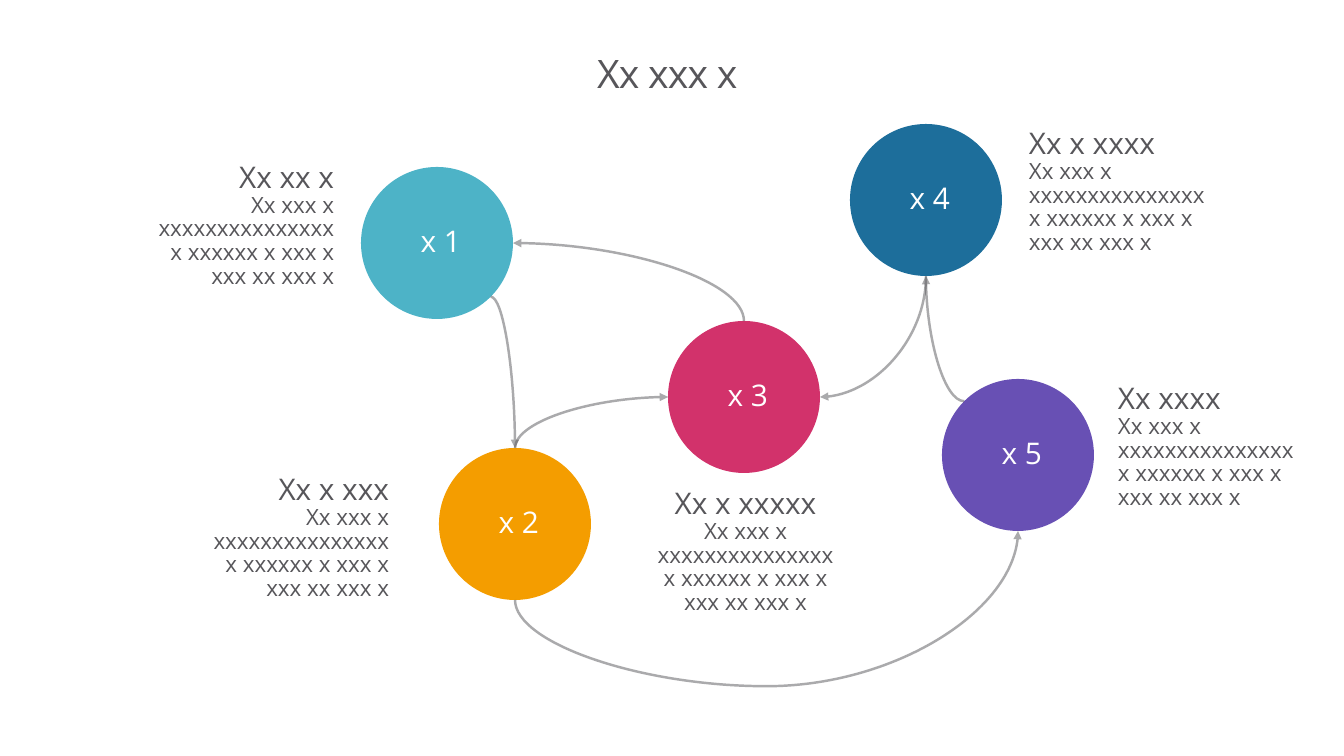
"""Build a slide of five linked circles with captions."""
from dataclasses import dataclass
from math import hypot

from lxml import etree
from pptx import Presentation
from pptx import util as u
from pptx.dml.color import RGBColor
from pptx.enum import shapes, text
from pptx.oxml.ns import qn

PX = 914400 / 100.8
LEFT, CENTER, RIGHT = text.PP_ALIGN.LEFT, text.PP_ALIGN.CENTER, text.PP_ALIGN.RIGHT
TOP, MIDDLE = text.MSO_ANCHOR.TOP, text.MSO_ANCHOR.MIDDLE
N, E, S, W, SE, NW = (0, -1), (1, 0), (0, 1), (-1, 0), (1, 1), (-1, -1)
BODY = "Xx xxx x xxxxxxxxxxxxxxx x xxxxxx x xxx x xxx xx xxx x"


@dataclass(frozen=True)
class Theme:
    font: str = "Open Sans"
    ink: str = "57565A"
    white: str = "FFFFFF"
    teal: str = "4DB3C7"
    orange: str = "F49D00"
    pink: str = "D2326B"
    blue: str = "1D6E9B"
    purple: str = "6850B4"
    title: float = 28
    heading: float = 21.3
    body: float = 16
    line: float = 1.75
    radius: int = 76


def px(n):
    return u.Emu(round(n * PX))


def assign(target, **values):
    for name, value in values.items():
        setattr(target, name, value)


class Deck:
    def __init__(self, theme):
        self.t = theme
        self.prs = Presentation()
        assign(self.prs, slide_width=px(1344), slide_height=px(756))
        self.s = self.prs.slides.add_slide(self.prs.slide_layouts[6])
        self.centers = {}

    def fill_text(self, sp, lines, color, align, anchor, spacing, wrap=True, pad=0):
        tf = sp.text_frame
        assign(tf, word_wrap=wrap, vertical_anchor=anchor, margin_left=0,
               margin_right=0, margin_top=px(pad), margin_bottom=px(pad))
        for i, (words, size) in enumerate(lines):
            p = tf.add_paragraph() if i else tf.paragraphs[0]
            assign(p, alignment=align, line_spacing=spacing)
            r = p.add_run()
            r.text = words
            assign(r.font, name=self.t.font, size=u.Pt(size))
            r.font.color.rgb = RGBColor.from_string(color)
        return tf

    def title(self, words):
        sp = self.s.shapes.add_textbox(px(101), px(31), px(1142), px(90))
        tf = self.fill_text(sp, [(words, self.t.title)], self.t.ink, CENTER, MIDDLE, 0.86)
        tf.paragraphs[0].runs[0].font._element.set("spc", "-50")

    def caption(self, x, y, heading, align):
        sp = self.s.shapes.add_textbox(px(x), px(y), px(179), px(155))
        lines = [(heading, self.t.heading), (BODY, self.t.body)]
        self.fill_text(sp, lines, self.t.ink, align, TOP, 0.88, pad=5)

    def circle(self, key, x, y, color):
        rad = self.t.radius
        sp = self.s.shapes.add_shape(shapes.MSO_SHAPE.OVAL, px(x - rad), px(y - rad),
                                     px(2 * rad), px(2 * rad))
        sp.shadow.inherit = False
        sp.fill.solid()
        sp.fill.fore_color.rgb = RGBColor.from_string(color)
        sp.line.fill.background()
        self.fill_text(sp, [(f" x {key}", self.t.heading)], self.t.white,
                       CENTER, MIDDLE, 0.9, wrap=False)
        self.centers[key] = x, y

    def rim(self, key, side):
        x, y = self.centers[key]
        k = self.t.radius / hypot(*side)
        return x + k * side[0], y + k * side[1]

    def link(self, start, leave, end, enter, bend=None):
        """Curve between two rims; one that leaves vertically is turned by 90 degrees."""
        (x1, y1), (x2, y2) = self.rim(start, leave), self.rim(end, enter)
        turned = leave in (N, S)
        if turned:
            cx, cy, dx, dy = (x1 + x2) / 2, (y1 + y2) / 2, x2 - x1, y2 - y1
            x1, y1, x2, y2 = cx - dy / 2, cy + dx / 2, cx + dy / 2, cy - dx / 2
        c = self.s.shapes.add_connector(shapes.MSO_CONNECTOR.CURVE,
                                        px(x1), px(y1), px(x2), px(y2))
        pr = c._element.spPr
        if turned:
            pr.find(qn("a:xfrm")).set("rot", "5400000")
        geom = pr.find(qn("a:prstGeom"))
        if bend is None:
            geom.set("prst", "curvedConnector2")
        else:
            guides = geom.find(qn("a:avLst"))
            etree.SubElement(guides, qn("a:gd"), name="adj1",
                             fmla=f"val {round(bend * 100000)}")
        c.line.width = u.Pt(self.t.line)
        c.line.color.rgb = RGBColor.from_string(self.t.ink)
        ln = pr.find(qn("a:ln"))
        etree.SubElement(ln.find(".//" + qn("a:srgbClr")), qn("a:alpha"), val="50000")
        etree.SubElement(ln, qn("a:tailEnd"), type="triangle")
        etree.SubElement(pr, qn("a:effectLst"))


def main():
    t = Theme()
    d = Deck(t)
    d.title("Xx xxx x ")
    for key, x, y, color in [(1, 437, 243, t.teal), (3, 744, 397, t.pink),
                             (4, 926, 200, t.blue), (2, 515, 524, t.orange),
                             (5, 1018, 455, t.purple)]:
        d.circle(key, x, y, color)
    for x, y, heading, align in [(155, 158, "Xx xx x", RIGHT),
                                 (210, 470, "Xx x xxx", RIGHT),
                                 (656, 484, "Xx x xxxxx", CENTER),
                                 (1029, 124, "Xx x xxxx", LEFT),
                                 (1118, 379, "Xx xxxx", LEFT)]:
        d.caption(x, y, heading, align)
    for route in [(4, S, 3, E), (3, N, 1, E), (1, SE, 2, N),
                  (2, N, 3, W), (2, S, 5, S, -1.25), (5, NW, 4, S)]:
        d.link(*route)
    d.prs.save("out.pptx")


if __name__ == "__main__":
    main()
